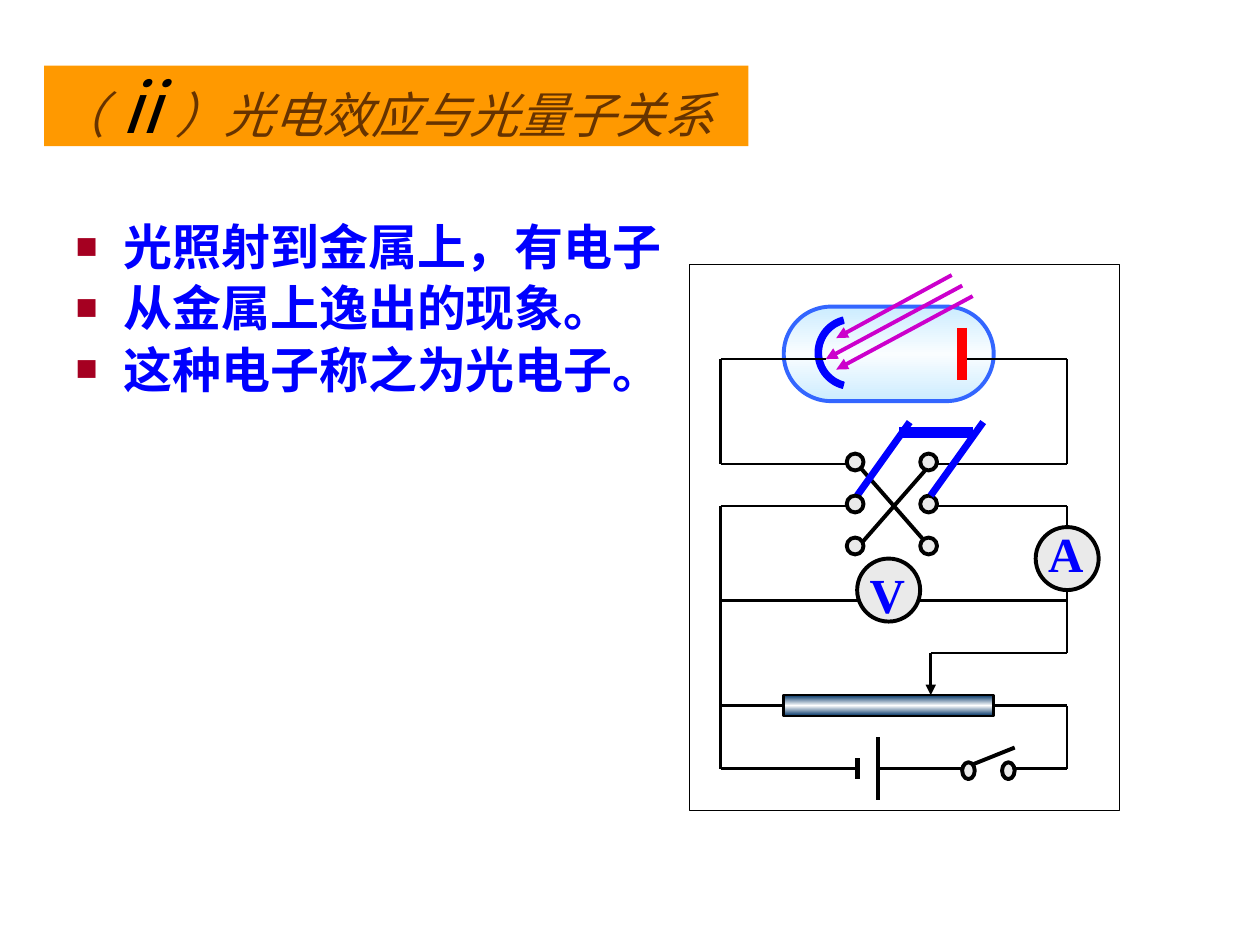
from math import cos, sin, radians
from lxml.etree import SubElement
from pptx import Presentation
from pptx.dml.color import RGBColor
from pptx.enum.shapes import MSO_CONNECTOR, MSO_SHAPE
from pptx.enum.text import MSO_ANCHOR, MSO_AUTO_SIZE, PP_ALIGN
from pptx.oxml import parse_xml
from pptx.oxml.ns import nsdecls, qn
from pptx.util import Inches, Pt

BLACK = RGBColor(0x00, 0x00, 0x00)
WHITE = RGBColor(0xFF, 0xFF, 0xFF)
BLUE = RGBColor(0x00, 0x00, 0xFF)
SKY = RGBColor(0x33, 0x66, 0xFF)
RED = RGBColor(0xFF, 0x00, 0x00)
PLUM = RGBColor(0xCC, 0x00, 0xCC)
GREY = RGBColor(0xEA, 0xEA, 0xEA)
AMBER = RGBColor(0xFF, 0x99, 0x00)
BROWN = RGBColor(0x66, 0x33, 0x00)
WINE = RGBColor(0xA5, 0x00, 0x21)
PALE = RGBColor(0xCC, 0xEC, 0xFF)
ICE = RGBColor(0xFA, 0xFD, 0xFF)
NAVY = RGBColor(0x00, 0x33, 0x66)
HAN, SANS, ROMAN = "Noto Sans CJK SC", "Arial", "Times New Roman"

HEAD = [("（", 28, HAN, BROWN), ("ⅱ", 40, SANS, BLACK),
        ("）光电效应与光量子关系", 28, HAN, BROWN)]
BODY = ["光照射到金属上，有电子", "从金属上逸出的现象。", "这种电子称之为光电子。"]

LEFT, TOP, UNIT = 5.72, 2.85, 1 / 12
WIRES = [
    (0, 0, 10, 0), (23, 0, 33, 0), (20, 10, 33, 10), (0, 10, 13, 10),
    (20, 14, 33, 14), (0, 14, 13, 14), (0, 23, 33, 23), (0, 39, 13, 39),
    (15, 39, 23, 39), (0, 14, 0, 39), (0, 0, 0, 10), (33, 0, 33, 10),
    (33, 14, 33, 28), (20, 28, 33, 28), (33, 33, 33, 39), (28, 39, 33, 39)]
CROSS = [(13, 10, 20, 18), (20, 10, 13, 18)]
RAYS = [(22, -8, 11, -2), (23, -7, 10, 0), (24, -6, 11, 1)]
DOTS = [(x, y, 1.6, 1.6) for x in (12, 19) for y in (9, 13, 17)]
KNOBS = [(23, 38.4, 1.2, 1.6), (26.8, 38.4, 1.2, 1.6)]
METERS = [("V", 13, 19, 19), ("A", 30, 16, 15.1)]


def spot(x, y):
    return Inches(LEFT + x * UNIT), Inches(TOP + y * UNIT)


def area(x, y, w, h):
    return (*spot(x, y), Inches(w * UNIT), Inches(h * UNIT))


def write(par, text, size=28, font=HAN, color=BLUE, bold=False, italic=False):
    run = par.add_run()
    run.text = text
    face = run.font
    face.size, face.name, face.bold, face.italic = Pt(size), font, bold, italic
    face.color.rgb = color
    SubElement(run._r.get_or_add_rPr(), qn("a:ea")).set("typeface", font)


def paint(shape, fill, line=BLACK, width=2.25):
    shape.shadow.inherit = False
    shape.line.color.rgb = line
    shape.line.width = Pt(width)
    shape.fill.solid()
    shape.fill.fore_color.rgb = fill
    return shape


def blend(shape, edge, core):
    stops = "".join(f'<a:gs pos="{at}"><a:srgbClr val="{tint}"/></a:gs>'
                    for at, tint in ((0, edge), (50000, core), (100000, edge)))
    solid = shape._element.spPr.find(qn("a:solidFill"))
    solid.getparent().replace(solid, parse_xml(
        f'<a:gradFill {nsdecls("a")} rotWithShape="1"><a:gsLst>{stops}</a:gsLst>'
        '<a:lin ang="5400000" scaled="1"/></a:gradFill>'))


def wire(shapes, ends, color=BLACK, width=1.5, arrow=False):
    link = shapes.add_connector(MSO_CONNECTOR.STRAIGHT, *spot(*ends[:2]), *spot(*ends[2:]))
    link.line.color.rgb = color
    link.line.width = Pt(width)
    if arrow:
        SubElement(link.line._get_or_add_ln(), qn("a:tailEnd")).set("type", "triangle")
    SubElement(link._element.spPr, qn("a:effectLst"))
    return link


def words(slide):
    head, body = slide.shapes.title, slide.placeholders[1]
    head.left, head.top, head.width, head.height = map(Inches, (0.35, 0.52, 5.59, 0.64))
    head.fill.solid()
    head.fill.fore_color.rgb = AMBER
    frame = head.text_frame
    frame.auto_size, frame.vertical_anchor = MSO_AUTO_SIZE.NONE, MSO_ANCHOR.MIDDLE
    par = frame.paragraphs[0]
    par.alignment = PP_ALIGN.LEFT
    for text, size, font, color in HEAD:
        write(par, text, size=size, font=font, color=color, italic=True)

    body.left, body.top, body.width, body.height = map(Inches, (0.5, 1.75, 9, 4.95))
    frame = body.text_frame
    frame.auto_size = MSO_AUTO_SIZE.NONE
    for i, text in enumerate(BODY):
        par = frame.add_paragraph() if i else frame.paragraphs[0]
        par.alignment, par.space_before, par.line_spacing = PP_ALIGN.JUSTIFY, Pt(7), 0.83
        props = par._p.get_or_add_pPr()
        props.set("marL", str(Inches(0.38)))
        props.set("indent", str(Inches(-0.38)))
        SubElement(SubElement(props, qn("a:buClr")), qn("a:srgbClr")).set("val", str(WINE))
        SubElement(props, qn("a:buSzPct")).set("val", "75000")
        SubElement(props, qn("a:buFont")).set("typeface", SANS)
        SubElement(props, qn("a:buChar")).set("char", "■")
        write(par, text, bold=True)


def circuit(shapes):
    def put(kind, box):
        return shapes.add_shape(kind, *area(*box))

    paint(put(MSO_SHAPE.RECTANGLE, (-3, -9, 41, 52)), WHITE, width=0.75)
    tube = paint(put(MSO_SHAPE.ROUNDED_RECTANGLE, (6, -5, 20, 9)), PALE, line=SKY)
    tube.adjustments[0] = 0.5
    blend(tube, PALE, ICE)

    turn = range(105, 256, 5)
    arc = [spot(12.5 + r * cos(radians(a)), -0.6 + r * sin(radians(a)))
           for r, side in ((3.5, turn), (2.9, reversed(turn))) for a in side]
    pen = shapes.build_freeform(*arc[0])
    pen.add_line_segments(arc[1:], close=True)
    paint(pen.convert_to_shape(), BLUE, line=BLUE, width=0.75)

    coil = paint(put(MSO_SHAPE.RECTANGLE, (6, 32, 20, 2)), NAVY, width=1.5)
    blend(coil, NAVY, WHITE)
    for ends in WIRES:
        wire(shapes, ends)
    wire(shapes, (0, 33, 6, 33)).end_connect(coil, 1)
    wire(shapes, (26, 33, 33, 33)).begin_connect(coil, 3)
    wire(shapes, (20, 28, 20, 32), arrow=True)
    for ends in CROSS + [(15, 36, 15, 42), (23, 39, 28, 37)]:
        wire(shapes, ends, width=2.25)
    wire(shapes, (13, 38, 13, 40), width=3)
    wire(shapes, (13, 13, 18, 6), color=BLUE, width=4)
    for ends in RAYS:
        wire(shapes, ends, color=PLUM, width=2.25, arrow=True)

    for box in DOTS + KNOBS:
        paint(put(MSO_SHAPE.OVAL, box), GREY)
    for name, x, y, top in METERS:
        paint(put(MSO_SHAPE.OVAL, (x, y, 6, 6)), GREY)
        frame = shapes.add_textbox(*area(x, top, 7, 6.8)).text_frame
        frame.word_wrap = True
        par = frame.paragraphs[0]
        par.space_before = Pt(17.5)
        write(par, name, font=ROMAN, bold=True)
    wire(shapes, (20, 13, 25, 6), color=BLUE, width=4)
    wire(shapes, (17, 7, 24, 7), color=BLUE, width=6)
    wire(shapes, (23, -3, 23, 2), color=RED, width=6)


def main():
    """Build the photoelectric effect slide."""
    deck = Presentation()
    deck.slide_width, deck.slide_height = Inches(10), Inches(7.5)
    slide = deck.slides.add_slide(deck.slide_layouts[1])
    words(slide)
    circuit(slide.shapes)
    deck.save("out.pptx")


if __name__ == "__main__":
    main()
